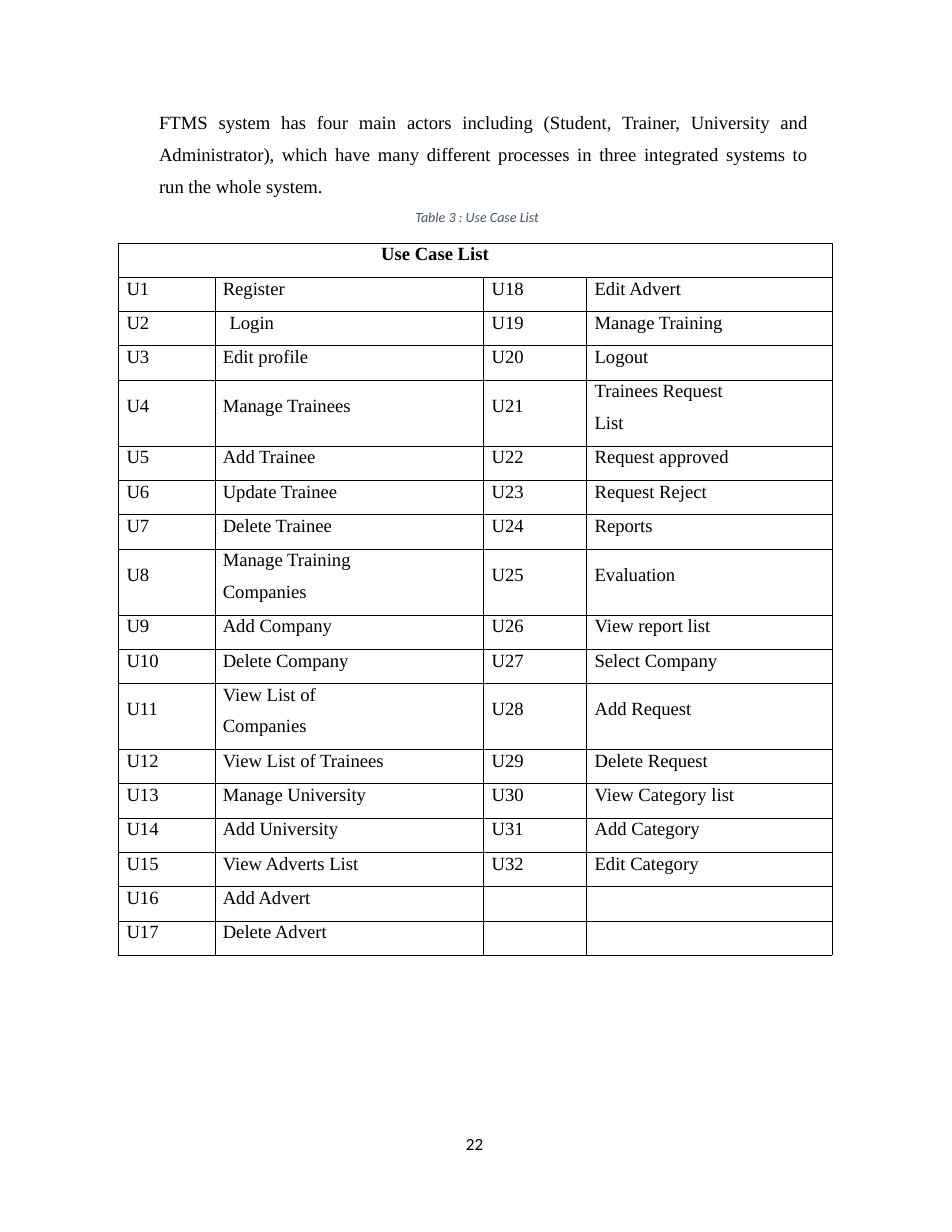
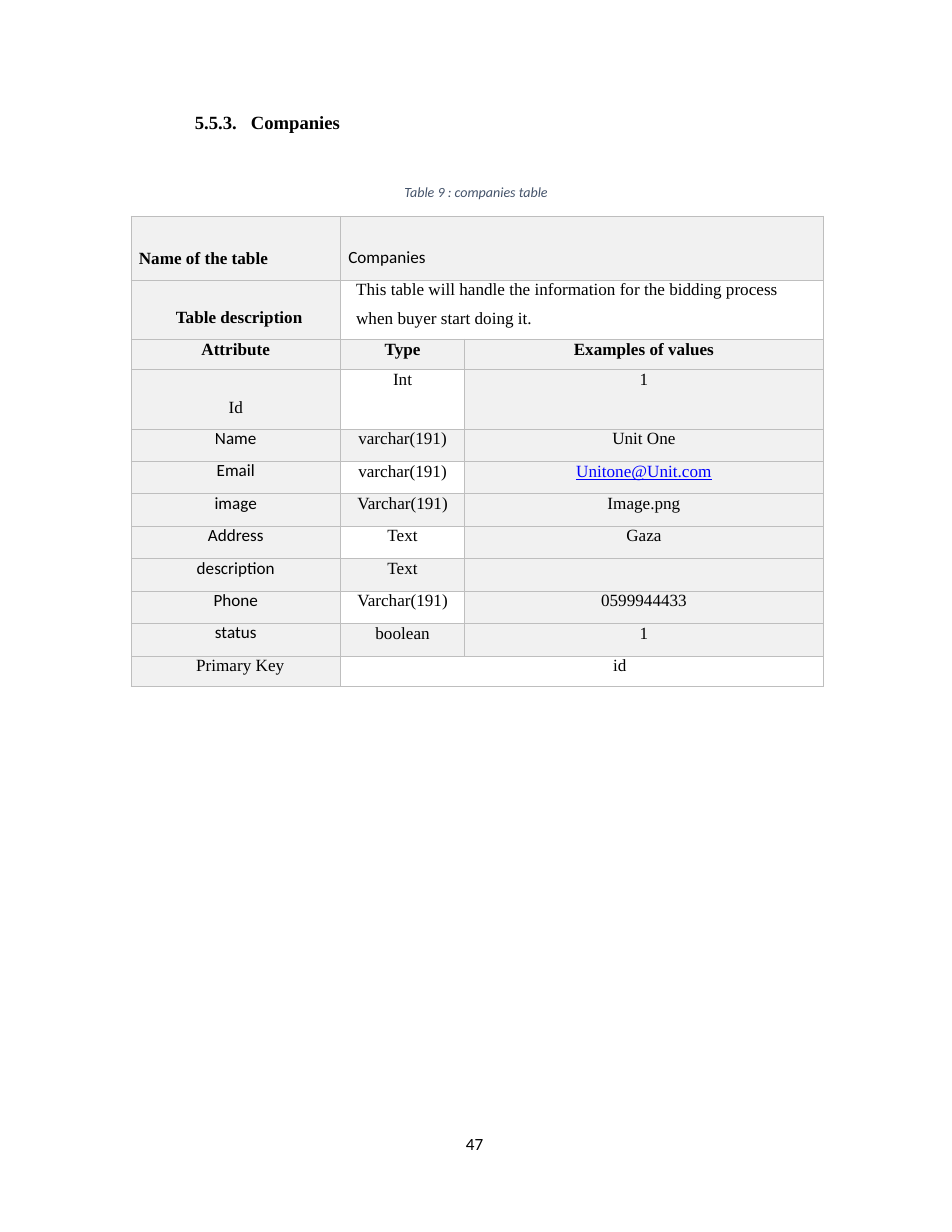
from dataclasses import dataclass, replace
from itertools import zip_longest
from typing import Optional

from lxml import etree
from pptx import Presentation
from pptx.dml.color import RGBColor
from pptx.enum.text import MSO_ANCHOR, MSO_AUTO_SIZE, PP_ALIGN as Al
from pptx.oxml.ns import qn
from pptx.util import Emu, Pt

PX = 9144  # one px is a hundredth of an inch


def px(n: float) -> Emu:
    return Emu(round(n * PX))


# Theme
@dataclass(frozen=True)
class Theme:
    serif: str = "Times New Roman"
    sans: str = "Calibri"
    ink: str = "000000"
    caption: str = "44536A"
    link: str = "0000FF"
    paper: str = "FFFFFF"
    shade: str = "F1F1F1"
    rule: str = "BEBEBE"
    text_size: int = 12
    small_size: int = 11
    caption_size: int = 9
    rule_width: float = 0.5


T = Theme()


@dataclass(frozen=True)
class Style:
    font: str = T.serif
    size: int = T.text_size
    color: str = T.ink
    bold: bool = False
    italic: bool = False
    underline: bool = False
    align: Al = Al.LEFT
    leading: Optional[float] = None  # a float is a multiple, a Pt is exact
    gap: float = 0  # space before the second and later paragraphs


BODY = Style(align=Al.JUSTIFY, leading=1.44)
HEADING = Style(bold=True)
CAPTION = Style(T.sans, T.caption_size, T.caption, italic=True, align=Al.CENTER)
PAGE_NO = Style(T.sans, T.small_size, leading=Pt(11.5))
USE_CASE = Style(leading=Pt(14.1), gap=6)
USE_CASE_HEAD = replace(USE_CASE, bold=True, align=Al.CENTER)
FIELD = Style(size=T.small_size, align=Al.CENTER, leading=Pt(12.5), gap=5.8)
FIELD_HEAD = replace(FIELD, bold=True)
FIELD_SANS = replace(FIELD, font=T.sans, leading=Pt(12.9))
FIELD_LINK = replace(FIELD, color=T.link, underline=True)


@dataclass(frozen=True)
class Box:
    x: int
    y: int
    w: int
    h: int

    def emu(self) -> tuple:
        return px(self.x), px(self.y), px(self.w), px(self.h)


@dataclass(frozen=True)
class Cell:
    text: str
    style: Style
    fill: str = T.paper
    left: int = 0
    top: int = 0
    right: int = 0
    span: int = 1


PAGE_NO_BOX = Box(416, 1014, 21, 18)


# Text
def write(tf, text: str, style: Style) -> None:
    tf.text = text
    for i, p in enumerate(tf.paragraphs):
        p.alignment = style.align
        if style.leading:
            p.line_spacing = style.leading
        if i:
            p.space_before = Pt(style.gap)
        for r in p.runs:
            f = r.font
            f.name, f.size = style.font, Pt(style.size)
            f.bold, f.italic, f.underline = style.bold, style.italic, style.underline
            f.color.rgb = RGBColor.from_string(style.color)
        if not p.runs:
            etree.SubElement(p._p, qn("a:endParaRPr"), sz=str(style.size * 100))


def add_text(slide, box: Box, text: str, style: Style, title: bool = False):
    sp = slide.shapes.title if title else slide.shapes.add_textbox(*box.emu())
    sp.left, sp.top, sp.width, sp.height = box.emu()
    tf = sp.text_frame
    tf.word_wrap = True
    tf.auto_size = MSO_AUTO_SIZE.NONE
    tf.vertical_anchor = MSO_ANCHOR.TOP
    tf.margin_left = tf.margin_right = tf.margin_bottom = 0
    tf.margin_top = px(0 if style is PAGE_NO else 2)
    write(tf, text, style)
    return sp


def add_tab_stop(p, at: int) -> None:
    tabs = etree.SubElement(p._p.get_or_add_pPr(), qn("a:tabLst"))
    etree.SubElement(tabs, qn("a:tab"), pos=str(px(at)), algn="l")


# Tables
def set_borders(cell, color: str) -> None:
    tc_pr = cell._tc.get_or_add_tcPr()
    for i, side in enumerate(("lnL", "lnR", "lnT", "lnB")):
        ln = etree.Element(qn(f"a:{side}"), w=str(Pt(T.rule_width)))
        fill = etree.SubElement(ln, qn("a:solidFill"))
        etree.SubElement(fill, qn("a:srgbClr"), val=color)
        tc_pr.insert(i, ln)


def add_grid(slide, x: int, y: int, cols: list[int], heights: list[float],
             rows: list[list[Cell]], border: str) -> None:
    table = slide.shapes.add_table(len(rows), len(cols), px(x), px(y),
                                   px(sum(cols)), px(sum(heights))).table
    table.first_row = table.horz_banding = False
    for col, w in zip(table.columns, cols):
        col.width = px(w)
    for row, h in zip(table.rows, heights):
        row.height = px(h)
    for i, row in enumerate(rows):
        j = 0
        for item in row:
            cell = table.cell(i, j)
            if item.span > 1:
                cell.merge(table.cell(i, j + item.span - 1))
            cell.margin_left, cell.margin_right = px(item.left), px(item.right)
            cell.margin_top, cell.margin_bottom = px(item.top), 0
            cell.vertical_anchor = MSO_ANCHOR.TOP
            write(cell.text_frame, item.text, item.style)
            for k in range(j, j + item.span):
                part = table.cell(i, k)
                part.fill.solid()
                part.fill.fore_color.rgb = RGBColor.from_string(item.fill)
                set_borders(part, border)
            j += item.span


def new_page(prs, number: int):
    slide = prs.slides.add_slide(prs.slide_layouts[5])
    for sp in list(slide.placeholders):
        if sp != slide.shapes.title:
            sp._element.getparent().remove(sp._element)
    add_text(slide, PAGE_NO_BOX, str(number), PAGE_NO)
    return slide


# Use case list
LEFT_CASES = [
    "Register", "Login", "Edit profile", "Manage Trainees", "Add Trainee",
    "Update Trainee", "Delete Trainee", "Manage Training\nCompanies",
    "Add Company", "Delete Company", "View List of\nCompanies",
    "View List of Trainees", "Manage University", "Add University",
    "View Adverts List", "Add Advert", "Delete Advert",
]
RIGHT_CASES = [
    "Edit Advert", "Manage Training", "Logout", "Trainees Request\nList",
    "Request approved", "Request Reject", "Reports", "Evaluation",
    "View report list", "Select Company", "Add Request", "Delete Request",
    "View Category list", "Add Category", "Edit Category",
]
TABLE_HEIGHT, TALL_ROW = 636, 59


def use_case_page(prs) -> None:
    slide = new_page(prs, 22)
    add_text(slide, Box(142, 88, 580, 90),
             "FTMS system has four main actors including (Student, Trainer, University "
             "and Administrator), which have many different processes in three "
             "integrated systems to run the whole system.", BODY)
    add_text(slide, Box(360, 184, 132, 18), "Table 3 : Use Case List", CAPTION, title=True)

    rows = [[Cell("Use Case List", USE_CASE_HEAD, right=72, span=4)]]
    tall = [False]
    for i, (a, b) in enumerate(zip_longest(LEFT_CASES, RIGHT_CASES, fillvalue=""), 1):
        texts = [f"U{i}", a, f"U{i + len(LEFT_CASES)}" if b else "", b]
        is_tall = "\n" in a + b
        rows.append([Cell(t, USE_CASE, left=13 if t == "Login" else 7,
                          top=13 if is_tall and "\n" not in t else 0) for t in texts])
        tall.append(is_tall)
    short = (TABLE_HEIGHT - TALL_ROW * sum(tall)) / (len(tall) - sum(tall))
    add_grid(slide, 106, 217, [86, 240, 92, 219],
             [TALL_ROW if t else short for t in tall], rows, T.ink)


# Companies table
FIELDS = [
    ("Id", "Int", "1"),
    ("Name", "varchar(191)", "Unit One"),
    ("Email", "varchar(191)", "Unitone@Unit.com"),
    ("image", "Varchar(191)", "Image.png"),
    ("Address", "Text", "Gaza"),
    ("description", "Text", ""),
    ("Phone", "Varchar(191)", "0599944433"),
    ("status", "boolean", "1"),
]


def companies_page(prs) -> None:
    slide = new_page(prs, 47)
    heading = add_text(slide, Box(174, 97, 140, 23), "5.5.3.\tCompanies", HEADING, title=True)
    add_tab_stop(heading.text_frame.paragraphs[0], 50)
    add_text(slide, Box(359, 162, 132, 18), "Table 9 : companies table", CAPTION)

    left_head = replace(FIELD_HEAD, align=Al.LEFT)
    rows = [
        [Cell("Name of the table", left_head, T.shade, left=7, top=29),
         Cell("Companies", replace(FIELD_SANS, align=Al.LEFT), T.shade,
              left=7, top=29, span=2)],
        [Cell("Table description", left_head, T.shade, left=40, top=25),
         Cell("This table will handle the information for the bidding process\n"
              "when buyer start doing it.", replace(FIELD, align=Al.LEFT),
              left=14, span=2)],
        [Cell(t, FIELD_HEAD, T.shade) for t in ("Attribute", "Type", "Examples of values")],
    ]
    for i, (name, kind, example) in enumerate(FIELDS):
        rows.append([
            Cell(name, FIELD_SANS if i else FIELD, T.shade, top=0 if i else 25),
            Cell(kind, FIELD, T.shade if i % 2 else T.paper),
            Cell(example, FIELD_LINK if "@" in example else FIELD, T.shade),
        ])
    rows.append([Cell("Primary Key", FIELD, T.shade, left=8),
                 Cell("id", FIELD, left=68, span=2)])
    heights = [57, 53, 27, 53] + [29] * (len(FIELDS) - 1) + [27]
    add_grid(slide, 117, 193, [187, 111, 320], heights, rows, T.rule)


def main() -> None:
    prs = Presentation()
    prs.slide_width, prs.slide_height = px(850), px(1100)
    use_case_page(prs)
    companies_page(prs)
    prs.save("out.pptx")


if __name__ == "__main__":
    main()
